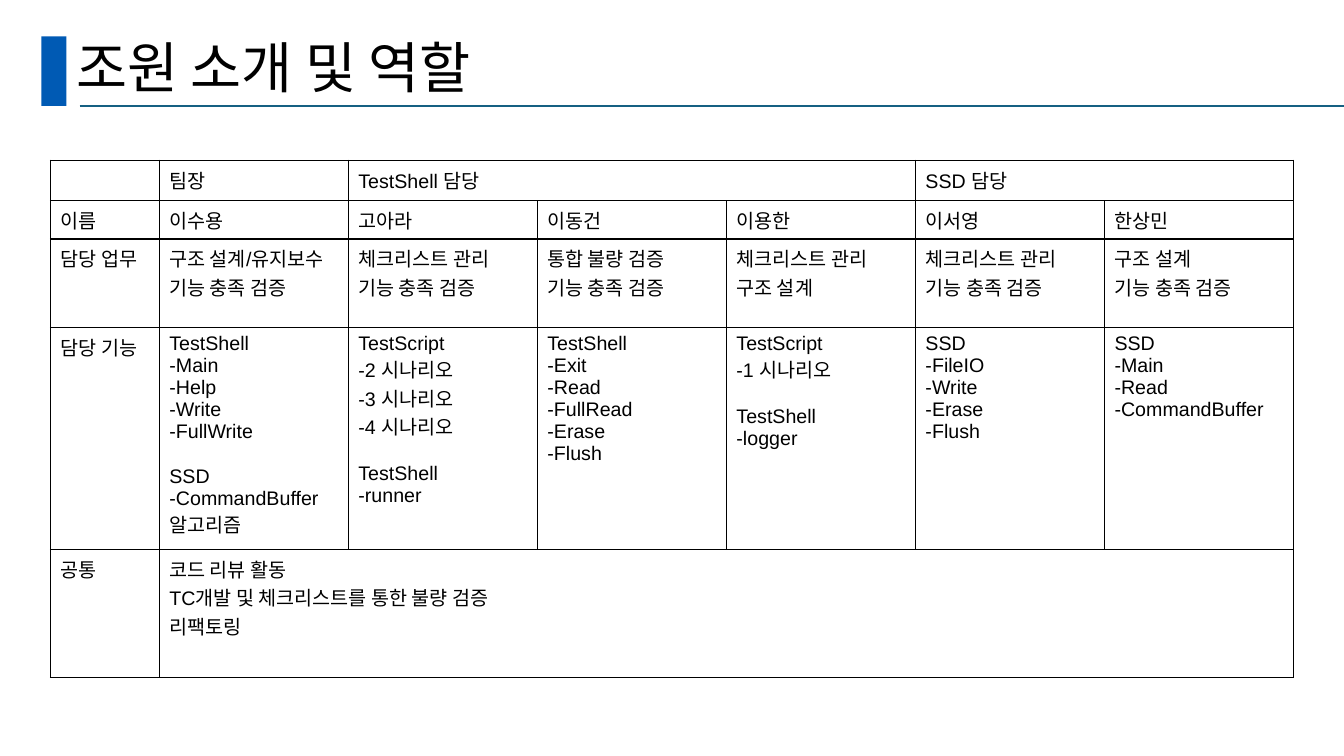
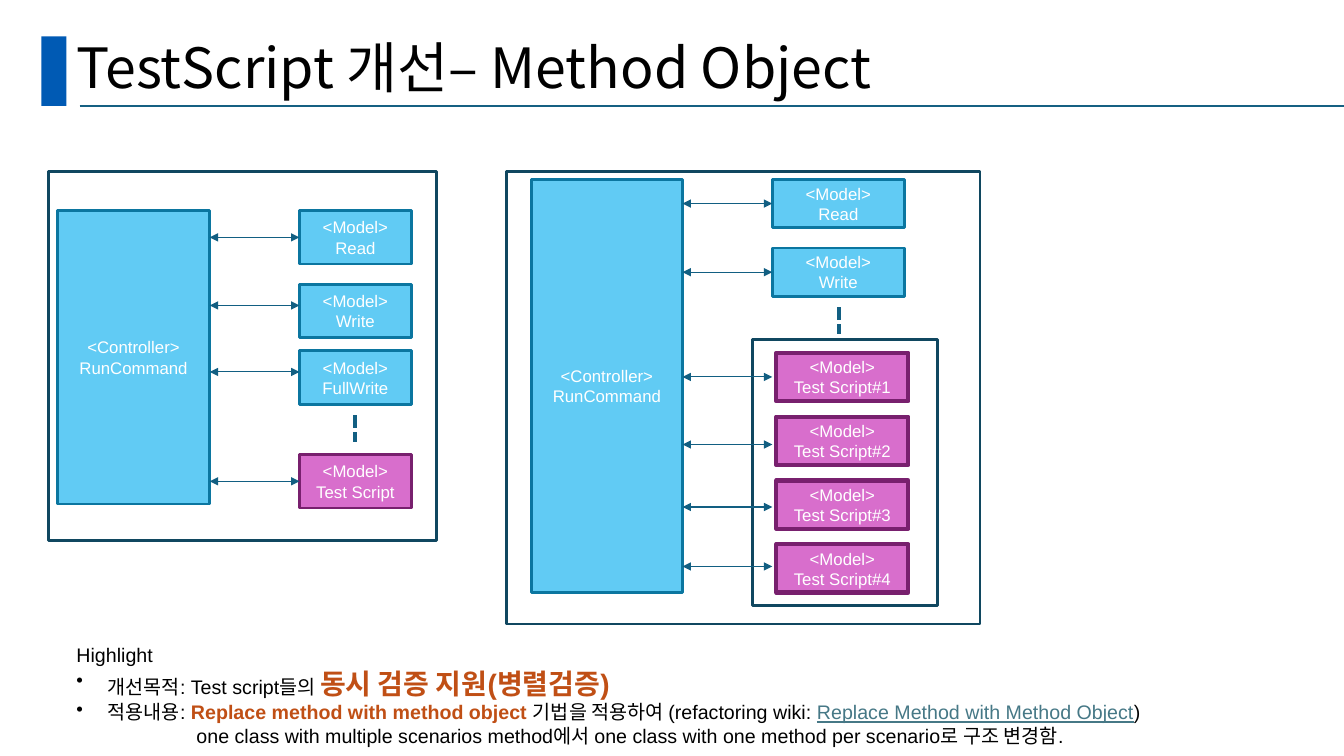
"""Build two slides: team roles and the Method Object refactoring."""
from lxml import etree
from pptx import Presentation, util as u
from pptx.dml.color import RGBColor
from pptx.enum import dml, shapes, text
from pptx.oxml.ns import qn

WIDE, HIGH = 13.33, 7.5
SANS, CJK = "Arial", "Noto Sans CJK KR"
HUE = {
    "band": "005AB4", "rule": "156082", "ink": "000000", "white": "FFFFFF",
    "sky": "61CBF4", "skyline": "0B76A0", "pink": "D86ECC", "pinkline": "78206E",
    "arrow": "125F82", "frame": "104760", "accent": "C04F15", "link": "467886",
}

TITLES = ["조원 소개 및 역할", "TestScript 개선– Method Object"]

COLS = [1.08] + [1.875] * 6
ROWS = [0.38, 0.38, 0.88, 2.2, 1.27]
CHECK, FUNC, PLAN = "체크리스트 관리", "기능 충족 검증", "구조 설계"
TEAM = [
    ["", "팀장", "TestShell 담당", None, None, "SSD 담당", None],
    ["이름", "이수용", "고아라", "이동건", "이용한", "이서영", "한상민"],
    ["담당 업무", f"구조 설계/유지보수\n{FUNC}", f"{CHECK}\n{FUNC}",
     f"통합 불량 검증\n{FUNC}", f"{CHECK}\n{PLAN}", f"{CHECK}\n{FUNC}",
     f"{PLAN}\n{FUNC}"],
    ["담당 기능",
     "TestShell\n-Main\n-Help\n-Write\n-FullWrite\n\nSSD\n-CommandBuffer 알고리즘",
     "TestScript\n-2 시나리오\n-3 시나리오\n-4 시나리오\n\nTestShell\n-runner",
     "TestShell\n-Exit\n-Read\n-FullRead\n-Erase\n-Flush",
     "TestScript\n-1 시나리오\n\nTestShell\n-logger",
     "SSD\n-FileIO\n-Write\n-Erase\n-Flush",
     "SSD\n-Main\n-Read\n-CommandBuffer"],
    ["공통", "코드 리뷰 활동\nTC개발 및 체크리스트를 통한 불량 검증\n리팩토링"] + [None] * 5,
]

# Model entries: label, colour, left, top, arrow height (None joins the box middle)
PANELS = [
    {"frames": [(0.48, 1.7, 3.85, 3.66)], "ctrl": (0.57, 2.09, 1.51, 2.91),
     "size": (1.11, 0.53), "edge": 2, "tip": 2.97, "dots": (3.52, 4.12, 4.39),
     "models": [("Read", "sky", 2.97, 2.09, None), ("Write", "sky", 2.97, 2.82, 3.03),
                ("FullWrite", "sky", 2.97, 3.48, 3.69),
                ("Test Script", "pink", 2.97, 4.51, None)]},
    {"frames": [(5.02, 1.7, 4.7, 4.49), (7.46, 3.37, 1.84, 2.64)],
     "ctrl": (5.27, 1.78, 1.5, 4.1),
     "size": (1.31, 0.48), "edge": 3, "tip": 7.66, "dots": (8.32, 3.05, 3.31),
     "models": [("Read", "sky", 7.66, 1.78, None), ("Write", "sky", 7.66, 2.46, None)]
     + [(f"Test Script#{i + 1}", "pink", 7.7, 3.5 + i * 0.633, y)
        for i, y in enumerate([3.74, 4.41, 5.03, 5.62])]},
]

# Note entries: left margin, bullet, runs of (text, colour, size, bold, underline)
NOTES = [
    (0, False, [("Highlight",)]),
    (0.31, True, [("개선목적: Test script들의 ",),
                  ("동시 검증 지원(병렬검증)", "accent", 20, True)]),
    (0.31, True, [("적용내용: ",),
                  ("Replace method with method object ", "accent", 14, True),
                  ("기법을 적용하여 (refactoring wiki: ",),
                  ("Replace Method with Method Object", "link", 14, False, True),
                  (")",)]),
    (1.19, False, [("one class with multiple scenarios method에서 "
                    "one class with one method per scenario로 구조 변경함.",)]),
]


def rgb(name):
    return RGBColor.from_string(HUE[name])


def inch(vals):
    return [u.Inches(v) for v in vals]


def sub(node, tag, **attrs):
    return etree.SubElement(node, qn(tag), attrs)


def put(para, words, hue="ink", size=14, bold=False, under=False, face=SANS):
    run = para.add_run()
    run.text = words
    font = run.font
    font.name, font.size = face, u.Pt(size)
    font.bold, font.underline = bold, under
    font.color.rgb = rgb(hue)
    sub(font._element, "a:ea", typeface=CJK)


def paras(frame, count):
    return [frame.paragraphs[0]] + [frame.add_paragraph() for _ in range(count - 1)]


def box(slide, at, fill=None, line=None, width=2, lines=()):
    shape = slide.shapes.add_shape(shapes.MSO_SHAPE.RECTANGLE, *inch(at))
    shape.shadow.inherit = False
    if fill:
        shape.fill.solid()
        shape.fill.fore_color.rgb = rgb(fill)
    else:
        shape.fill.background()
    if line:
        shape.line.color.rgb = rgb(line)
        shape.line.width = u.Pt(width)
    else:
        shape.line.fill.background()
    if lines:
        frame = shape.text_frame
        frame.word_wrap = True
        frame.vertical_anchor = text.MSO_ANCHOR.MIDDLE
        for para, words in zip(paras(frame, len(lines)), lines):
            para.alignment = text.PP_ALIGN.CENTER
            put(para, words, "white", 12)
    return shape


def link(slide, ends, hue, width, heads=False):
    wire = slide.shapes.add_connector(shapes.MSO_CONNECTOR.STRAIGHT, *inch(ends))
    wire.line.color.rgb = rgb(hue)
    wire.line.width = u.Pt(width)
    if heads:
        for tag in ("a:headEnd", "a:tailEnd"):
            sub(wire.line._get_or_add_ln(), tag, type="triangle")
    sub(wire._element.spPr, "a:effectLst")
    return wire


def label(slide, at):
    frame = slide.shapes.add_textbox(*inch(at)).text_frame
    frame.word_wrap = True
    return frame


def start(deck, title):
    slide = deck.slides.add_slide(deck.slide_layouts[6])
    box(slide, (0.41, 0.36, 0.25, 0.69), "band")
    link(slide, (0.79, 1.05, WIDE, 1.05), "rule", 1.5)
    frame = label(slide, (0.66, 0.34, 11.5, 0.71))
    frame.vertical_anchor = text.MSO_ANCHOR.MIDDLE
    para = frame.paragraphs[0]
    para.line_spacing = 0.9
    put(para, title, size=39.6, face=CJK)
    return slide


def border(cell):
    props = cell._tc.get_or_add_tcPr()
    for tag in ("a:lnL", "a:lnR", "a:lnT", "a:lnB"):
        edge = sub(props, tag, w=str(u.Pt(1)))
        sub(sub(edge, "a:solidFill"), "a:srgbClr", val=HUE["ink"])


def write(cell, words):
    groups = [part.split("\n") for part in words.split("\n\n")]
    items = [(line, g and not i) for g, part in enumerate(groups)
             for i, line in enumerate(part)]
    for para, (line, gap) in zip(paras(cell.text_frame, len(items)), items):
        if gap:
            para.space_before = u.Pt(16)
        put(para, line)


def roster(slide):
    table = slide.shapes.add_table(
        len(ROWS), len(COLS), *inch((0.5, 1.59, sum(COLS), sum(ROWS)))).table
    table.first_row = table.horz_banding = False
    for col, width in zip(table.columns, COLS):
        col.width = u.Inches(width)
    for r, row in enumerate(TEAM):
        table.rows[r].height = u.Inches(ROWS[r])
        for c, words in enumerate(row):
            cell = table.cell(r, c)
            border(cell)
            cell.fill.background()
            if words:
                write(cell, words)
            last = c
            while words is not None and last + 1 < len(row) and row[last + 1] is None:
                last += 1
            if last > c:
                cell.merge(table.cell(r, last))


def panel(slide, plan):
    for at in plan["frames"]:
        box(slide, at, line="frame")
    ctrl = plan["ctrl"]
    box(slide, ctrl, "sky", "skyline", lines=("<Controller>", "RunCommand"))
    wide, high = plan["size"]
    right = ctrl[0] + ctrl[2]
    for name, hue, left, top, y in plan["models"]:
        edge = plan["edge"] if hue == "pink" else 2
        model = box(slide, (left, top, wide, high), hue, hue + "line", edge,
                    ("<Model>", name))
        level = y or top + high / 2
        wire = link(slide, (right, level, plan["tip"], level), "arrow", 0.75, True)
        if y is None:
            wire.end_connect(model, 1)
    x, top, foot = plan["dots"]
    dots = link(slide, (x, top, x, foot), "arrow", 3)
    dots.line.dash_style = dml.MSO_LINE.SQUARE_DOT


def notes(slide):
    frame = label(slide, (0.66, 6.33, 12.48, HIGH - 6.33))
    for para, (left, dot, runs) in zip(paras(frame, len(NOTES)), NOTES):
        props = para._p.get_or_add_pPr()
        props.set("marL", str(u.Inches(left)))
        props.set("indent", str(-u.Inches(left) if dot else 0))
        if dot:
            sub(props, "a:buChar", char="•")
        for run in runs:
            put(para, *run)


def main():
    deck = Presentation()
    deck.slide_width, deck.slide_height = inch((WIDE, HIGH))
    team, method = [start(deck, title) for title in TITLES]
    roster(team)
    for plan in PANELS:
        panel(method, plan)
    notes(method)
    deck.save("out.pptx")


if __name__ == "__main__":
    main()
